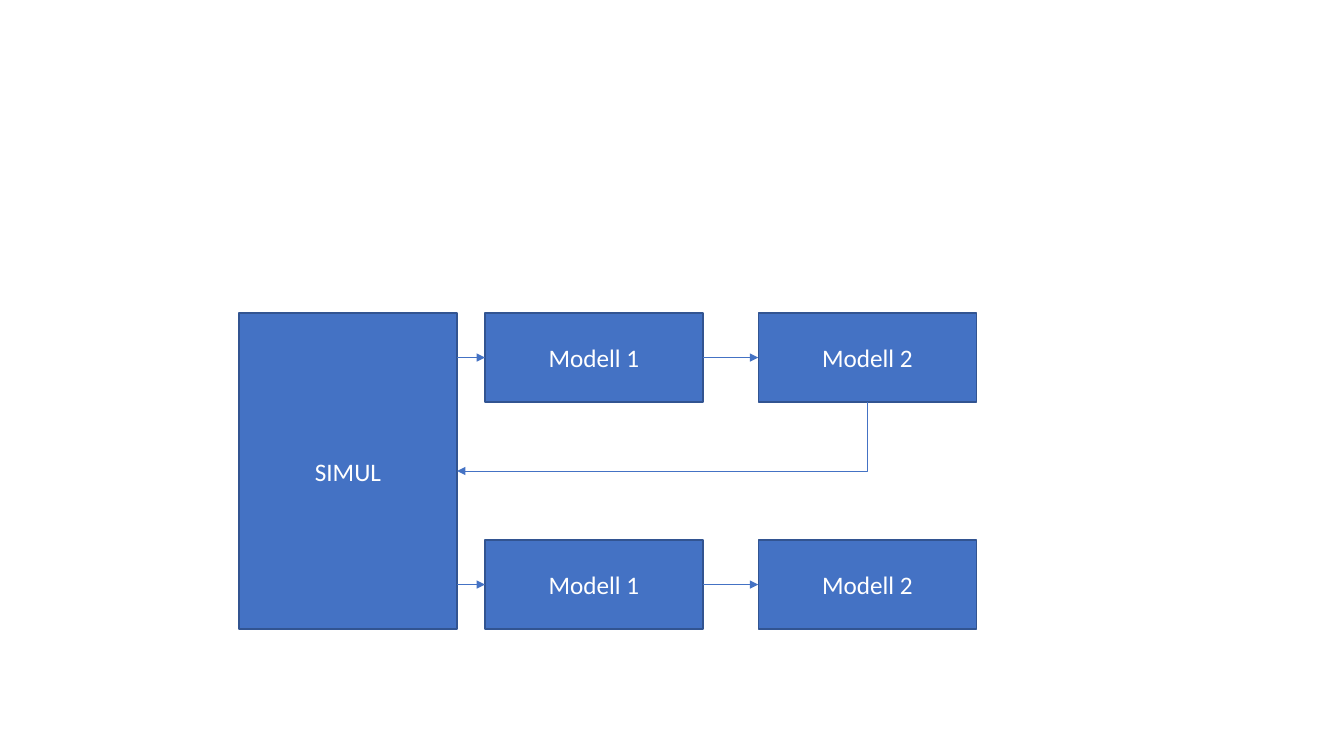
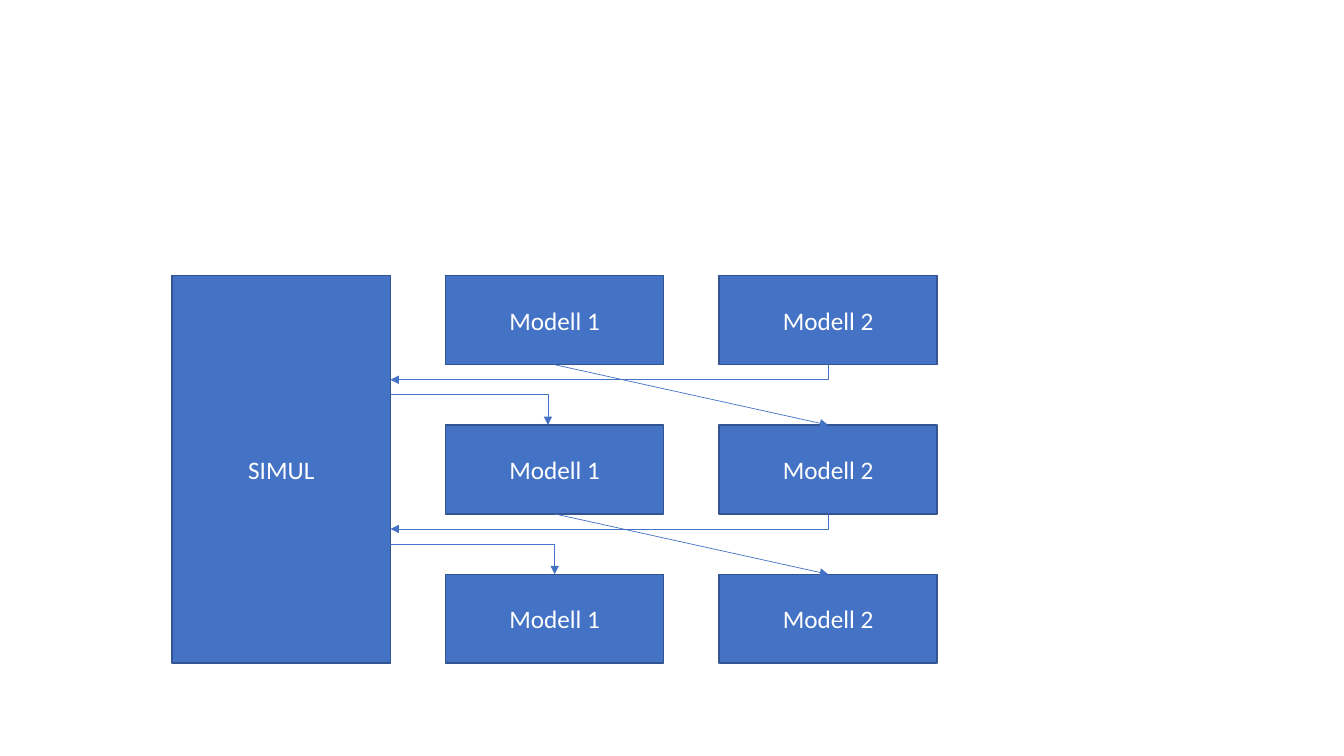
from lxml.etree import SubElement
from pptx import Presentation
from pptx.dml.color import RGBColor
from pptx.enum.shapes import MSO_CONNECTOR, MSO_SHAPE
from pptx.enum.text import MSO_ANCHOR, PP_ALIGN
from pptx.oxml.ns import qn
from pptx.util import Cm, Pt

# Shared colours and text style
BLUE = RGBColor(0x44, 0x72, 0xC4)
DARK_BLUE = RGBColor(0x32, 0x54, 0x91)
WHITE = RGBColor(0xFF, 0xFF, 0xFF)
FONT = {"name": "Calibri", "size": Pt(18)}

# Shared box sizes, in cm
BOX_W, BOX_H = 5.5, 2.24
COL_STEP = 6.89


def add_box(slide, text, x, y, h=BOX_H):
    s = slide.shapes.add_shape(MSO_SHAPE.RECTANGLE, Cm(x), Cm(y), Cm(BOX_W), Cm(h))
    s.shadow.inherit = False
    s.fill.solid()
    s.fill.fore_color.rgb = BLUE
    s.line.color.rgb = DARK_BLUE
    s.line.width = Pt(1)
    tf = s.text_frame
    tf.vertical_anchor = MSO_ANCHOR.MIDDLE
    p = tf.paragraphs[0]
    p.alignment = PP_ALIGN.CENTER
    r = p.add_run()
    r.text = text
    for name, value in FONT.items():
        setattr(r.font, name, value)
    r.font.color.rgb = WHITE


def add_arrow(slide, x1, y1, x2, y2, kind=MSO_CONNECTOR.STRAIGHT):
    s = slide.shapes.add_connector(kind, Cm(x1), Cm(y1), Cm(x2), Cm(y2))
    s.line.color.rgb = BLUE
    s.line.width = Pt(0.5)
    SubElement(s.line._get_or_add_ln(), qn("a:tailEnd"), type="triangle")
    SubElement(s._element.spPr, qn("a:effectLst"))
    return s


def add_corner_arrow(slide, x1, y1, x2, y2):
    """Arrow with one bend: across, then down."""
    s = add_arrow(slide, x1, y1, x2, y2, MSO_CONNECTOR.ELBOW)
    s._element.spPr.find(qn("a:prstGeom")).set("prst", "bentConnector2")
    return s


def add_return_arrow(slide, x1, y1, x2, y2):
    """Arrow with one bend: down, then back to the left."""
    # A quarter turn swaps width and height around the same centre
    cx, cy = (x1 + x2) / 2, (y1 + y2) / 2
    w, h = y2 - y1, x1 - x2
    s = add_corner_arrow(slide, cx - w / 2, cy - h / 2, cx + w / 2, cy + h / 2)
    s._element.spPr.xfrm.set("rot", "5400000")


def add_boxes(slide, sim_x, model_x, top, row_step, rows):
    """Draw the simulator and the model grid; return the top of each row."""
    tops = [top + i * row_step for i in range(rows)]
    add_box(slide, "SIMUL", sim_x, top, tops[-1] + BOX_H - top)
    for y in tops:
        for col in range(2):
            add_box(slide, f"Modell {col + 1}", model_x + col * COL_STEP, y)
    return tops


def build_sequential(slide):
    sim_x, model_x, row_step = 6.02, 12.22, 5.72
    tops = add_boxes(slide, sim_x, model_x, 7.89, row_step, 2)
    sim_right = sim_x + BOX_W
    model2_x = model_x + COL_STEP

    # Flow along each row
    for y in tops:
        mid = y + BOX_H / 2
        add_arrow(slide, sim_right, mid, model_x, mid)
        add_arrow(slide, model_x + BOX_W, mid, model2_x, mid)

    # Result back to the middle of the simulator
    add_return_arrow(slide, model2_x + BOX_W / 2, tops[0] + BOX_H,
                     sim_right, (tops[0] + tops[-1] + BOX_H) / 2)


def build_pipelined(slide):
    sim_x, row_step = 4.34, 3.76
    model_x = sim_x + COL_STEP
    tops = add_boxes(slide, sim_x, model_x, 6.95, row_step, 3)
    sim_right = sim_x + BOX_W
    model1_mid = model_x + BOX_W / 2
    model2_mid = model1_mid + COL_STEP
    gap = row_step - BOX_H

    # Between rows: hand-over, result and next input
    for y, next_y, shift in zip(tops, tops[1:], (-0.17, 0)):
        bottom = y + BOX_H
        add_arrow(slide, model1_mid, bottom, model2_mid, next_y)
        add_return_arrow(slide, model2_mid, bottom, sim_right, bottom + gap / 4)
        add_corner_arrow(slide, sim_right + shift, bottom + gap / 2,
                         model1_mid + shift, next_y)


def main():
    prs = Presentation()
    prs.slide_width, prs.slide_height = Cm(33.87), Cm(19.05)
    for build in (build_sequential, build_pipelined):
        build(prs.slides.add_slide(prs.slide_layouts[6]))
    prs.save("out.pptx")


if __name__ == "__main__":
    main()
